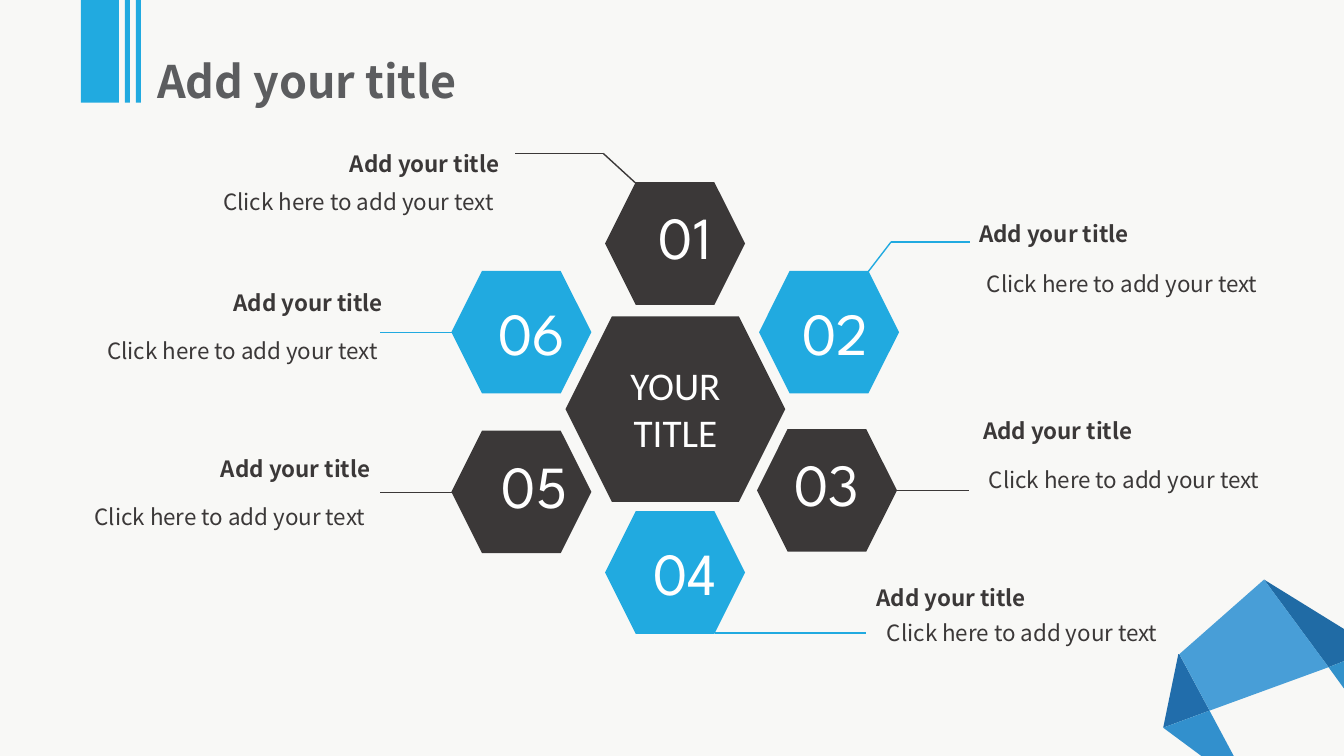
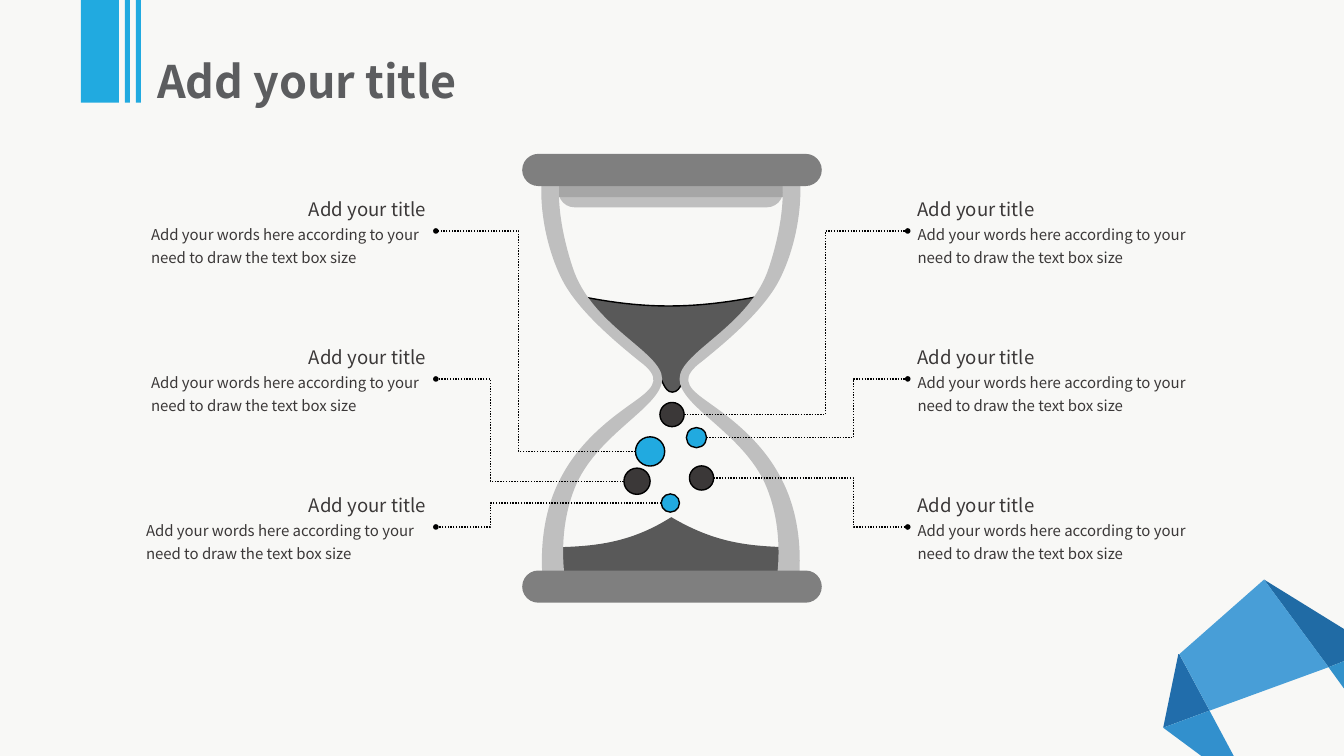
import pptx
import pptx.dml.color
import pptx.enum.dml
import pptx.enum.shapes
import pptx.enum.text
import pptx.oxml
import pptx.oxml.ns
import pptx.util

Pt = pptx.util.Pt
RGBColor = pptx.dml.color.RGBColor
SHAPE = pptx.enum.shapes.MSO_SHAPE
CONNECTOR = pptx.enum.shapes.MSO_CONNECTOR
ALIGN = pptx.enum.text.PP_ALIGN
FIT = pptx.enum.text.MSO_AUTO_SIZE
qn = pptx.oxml.ns.qn
NS = pptx.oxml.ns.nsdecls("a")

PAPER = RGBColor(0xF8, 0xF8, 0xF6)
BLUE = RGBColor(0x21, 0xAA, 0xE0)
DARK = RGBColor(0x3B, 0x38, 0x38)
HEADING = RGBColor(0x5C, 0x5D, 0x5F)
WHITE = RGBColor(0xFF, 0xFF, 0xFF)
BLACK = RGBColor(0x00, 0x00, 0x00)
SAND = RGBColor(0x59, 0x59, 0x59)
CAP = RGBColor(0x7F, 0x7F, 0x7F)
RIM = RGBColor(0xA6, 0xA6, 0xA6)
GLASS = RGBColor(0xBF, 0xBF, 0xBF)

SANS = "Noto Sans CJK SC"
WIDTH, HEIGHT = 960, 540
ADD_TITLE = "Add your title"

RIBBON = [
    (RGBColor(0x21, 0x6D, 0xAB), [(830.9, 519.8), (841.7, 467.3), (842.4, 467.3), (864, 507.6)]),
    (RGBColor(0x20, 0x6B, 0xA5), [(949, 476.6), (902.9, 414), (960, 449.3), (960, 472.3)]),
    (RGBColor(0x32, 0x90, 0xCD), [(881.3, 540), (858.2, 540), (830.9, 519.8), (864, 507.6)]),
    (RGBColor(0x48, 0x9E, 0xD7), [(864, 507.6), (842.4, 467.3), (902.9, 414), (949, 476.6)]),
    (RGBColor(0x32, 0x91, 0xCA), [(960, 491.8), (949, 476.6), (960, 472.3)]),
]

MOUND = [
    [(396.7, 391)],
    [(424.8, 390.2), (450, 388.1), (479.5, 369.4)],
    [(511.2, 388.1), (535, 390.2), (565.2, 391)],
    [(567.4, 400.3), (565.2, 411.1), (565.2, 421.9)],
    [(396.7, 421.9)],
    [(396.7, 411.1), (395.3, 401), (396.7, 391)],
]
FALLING_SAND = [
    [(414.7, 211.7)],
    [(422.6, 221.8), (439.2, 236.2), (447.8, 244.8)],
    [(456.5, 253.4), (462.2, 257), (467.3, 262.8)],
    [(473, 268.6), (473.8, 280.1), (480.2, 280.1)],
    [(487.4, 280.1), (488.2, 267.8), (492.5, 260.6)],
    [(496.8, 253.4), (509.8, 247), (519.1, 237.6)],
    [(528.5, 229), (541.4, 221), (545.8, 211)],
    [(495.4, 221), (461.5, 221), (414.7, 211.7)],
]
LEFT_GLASS = [
    [(387.4, 123.1)],
    [(384.5, 146.9), (390.2, 177.8), (401.8, 200.2)],
    [(413.3, 222.5), (441.4, 245.5), (456.5, 257.8)],
    [(472.3, 269.3), (468, 275.8), (456.5, 284.4)],
    [(445, 293), (416.9, 310.3), (401, 340.6)],
    [(384.5, 370.8), (386.6, 404.6), (388.1, 419)],
    [(396, 418.3), (396.7, 418.3), (404.6, 419)],
    [(404.6, 419.8), (396, 381.6), (411.8, 345.6)],
    [(428.4, 308.9), (473, 290.2), (473, 270.7)],
    [(473, 251.3), (422.6, 233.3), (409, 190.8)],
    [(395.3, 149), (399.6, 123.8), (401, 123.1)],
    [(398.2, 123.1), (391.7, 123.8), (387.4, 123.1)],
]
GLASS_SUM = 958.4
RIGHT_GLASS = [[(GLASS_SUM - x, y) for x, y in segment] for segment in LEFT_GLASS]


class Deck:
    def __init__(self):
        self.prs = pptx.Presentation()
        self.prs.slide_width, self.prs.slide_height = Pt(WIDTH), Pt(HEIGHT)
        fill = self.prs.slide_master.background.fill
        fill.solid()
        fill.fore_color.rgb = PAPER
        self.s = None

    def new_slide(self, title):
        self.s = self.prs.slides.add_slide(self.prs.slide_layouts[6])
        for color, points in RIBBON:
            self.outline([[point] for point in points], color)
        self.text(112.3, 30.7, 285.8, 46.8, [(title, 32, ALIGN.LEFT)], color=HEADING,
                  bold=True, spacing=1.2, inset=(0, 0))
        for x, w in ((57.8, 27.2), (89.2, 3.6), (97.1, 3.6)):
            self.shape(SHAPE.RECTANGLE, x, 0, w, 73.4, BLUE)

    def paint(self, sp, color, line=None):
        sp.shadow.inherit = False
        sp.fill.solid()
        sp.fill.fore_color.rgb = color
        if line is None:
            sp.line.fill.background()
        else:
            sp.line.color.rgb = line
            sp.line.width = Pt(1)

    def shape(self, kind, x, y, w, h, color, line=None, rounding=None):
        sp = self.s.shapes.add_shape(kind, Pt(x), Pt(y), Pt(w), Pt(h))
        if rounding is not None:
            sp.adjustments[0] = rounding
        self.paint(sp, color, line)

    def outline(self, segments, color, line=None):
        points = [(Pt(x), Pt(y)) for segment in segments for x, y in segment]
        builder = self.s.shapes.build_freeform(*points[0], scale=1.0)
        builder.add_line_segments(points[1:], close=True)
        sp = builder.convert_to_shape()
        steps = iter(sp._element.findall(".//" + qn("a:lnTo")))
        for segment in segments[1:]:
            parts = [next(steps) for point in segment]
            if len(parts) == 3:
                curve = pptx.oxml.parse_xml("<a:cubicBezTo %s/>" % NS)
                parts[0].addprevious(curve)
                for part in parts:
                    curve.append(part[0])
                    part.getparent().remove(part)
        self.paint(sp, color, line)

    def text(self, x, y, w, h, paragraphs, color=DARK, font=SANS, bold=False,
             spacing=None, inset=(7.2, 3.6), wrap=True):
        tf = self.s.shapes.add_textbox(Pt(x), Pt(y), Pt(w), Pt(h)).text_frame
        tf.word_wrap = wrap
        tf.auto_size = FIT.SHAPE_TO_FIT_TEXT
        tf.margin_left = tf.margin_right = Pt(inset[0])
        tf.margin_top = tf.margin_bottom = Pt(inset[1])
        for i, (words, size, align) in enumerate(paragraphs):
            p = tf.add_paragraph() if i else tf.paragraphs[0]
            p.alignment = align
            if spacing:
                p.line_spacing = spacing
            r = p.add_run()
            r.text = words
            r.font.name, r.font.size, r.font.bold = font, Pt(size), bold
            r.font.color.rgb = color

    def connector(self, kind, start, end, color):
        c = self.s.shapes.add_connector(kind, *(Pt(v) for v in start + end))
        c.line.color.rgb = color
        c.line.width = Pt(1)
        c._element.spPr.append(pptx.oxml.parse_xml("<a:effectLst %s/>" % NS))
        return c

    def polyline(self, points, color):
        for start, end in zip(points, points[1:]):
            self.connector(CONNECTOR.STRAIGHT, start, end, color)

    def dotted_leader(self, start, end, bend):
        c = self.connector(CONNECTOR.ELBOW, start, end, BLACK)
        c.line.dash_style = pptx.enum.dml.MSO_LINE.ROUND_DOT
        c.line._ln.append(pptx.oxml.parse_xml(
            '<a:tailEnd %s type="oval" w="sm" len="sm"/>' % NS))
        turn = round((bend - start[0]) / (end[0] - start[0]) * 100000)
        guides = c._element.spPr.find(".//" + qn("a:avLst"))
        guides.append(pptx.oxml.parse_xml('<a:gd %s name="adj1" fmla="val %d"/>' % (NS, turn)))


def hexagon_slide(deck):
    deck.new_slide(ADD_TITLE)
    right, left = ALIGN.RIGHT, ALIGN.LEFT
    steps = [
        ("01", DARK, (432.2, 130.2), (449.2, 139.4),
         [(454.3, 131), (430.9, 109.6), (367.9, 109.6)], (238, 103.7), (134.3, 126.7), right),
        ("02", BLUE, (542.2, 193.5), (557, 207.7),
         [(619.9, 194.4), (636.5, 172.8), (693, 172.8)], (687.4, 153.4), (697, 185.8), left),
        ("03", DARK, (540.7, 306.5), (550.8, 315.4),
         [(640.8, 350.2), (691.9, 350.2)], (690.2, 294.2), (698.4, 325.4), left),
        ("04", BLUE, (432.2, 365.2), (449.4, 379.4),
         [(510.8, 452.2), (618.5, 452.2)], (614, 414), (625.7, 434.9), left),
        ("05", DARK, (322.4, 307.6), (342, 316.8),
         [(322.6, 351.6), (271.4, 351.6)], (145.8, 321.6), (42.5, 351.8), right),
        ("06", BLUE, (322.4, 193.5), (340, 207.7),
         [(322.6, 237.6), (271.4, 237.6)], (154.8, 203), (51.5, 233.3), right),
    ]
    for number, color, corner, label, leader, heading, body, align in steps:
        deck.polyline(leader, color)
        deck.shape(SHAPE.HEXAGON, *corner, 100, 87.6, color)
        deck.text(*label, 80, 59, [(number, 42.6, ALIGN.CENTER)], WHITE, "League Spartan")
        deck.text(*heading, 126.7, 26.6, [(ADD_TITLE, 16, right)], bold=True,
                  inset=(7.9, 3.6), wrap=False)
        words = "Click here to add your text" + (" " if align == right else "")
        deck.text(*body, 230, 31, [(words, 16, align)], spacing=1.2, inset=(7.9, 3.6))
    deck.shape(SHAPE.HEXAGON, 403.9, 226, 157, 132.5, DARK)
    deck.text(425.5, 254.6, 113.8, 74.9,
              [(word, 28, ALIGN.CENTER) for word in ("YOUR", "TITLE")], WHITE, "Calibri")


def hourglass_slide(deck):
    deck.new_slide(ADD_TITLE)
    deck.outline(MOUND, SAND)
    deck.outline(FALLING_SAND, SAND, BLACK)
    deck.shape(SHAPE.ROUNDED_RECTANGLE, 398.9, 125.1, 160.4, 23, GLASS, rounding=0.5)
    deck.shape(SHAPE.ROUNDED_RECTANGLE, 396, 117.8, 168.5, 23, RIM, rounding=0)
    deck.outline(LEFT_GLASS, GLASS)
    deck.outline(RIGHT_GLASS, GLASS)
    for y in (109.9, 407.5):
        deck.shape(SHAPE.ROUNDED_RECTANGLE, 373, y, 214, 23, CAP, rounding=0.5)

    first_row, row_gap, half_row = 133, 105.7, 32
    left_end, right_start = 311.4, 648.4
    body = "Add your words here according to your need to draw the text box size"
    for row, x in enumerate((100.8, 100.8, 97.2)):
        y = first_row + row * row_gap
        for start, w, align in ((x, left_end - x, ALIGN.RIGHT),
                                (right_start, 208.8, ALIGN.LEFT)):
            deck.text(start, y, w, 62, [(ADD_TITLE, 13.3, align), (body, 10.7, ALIGN.LEFT)],
                      spacing=1.3)

    grains = [
        (471.4, 287.5, 17.3, DARK, True, 0, 589.7),
        (490.3, 305.4, 14.4, BLUE, True, 1, 609.8),
        (492.5, 332.8, 17.3, DARK, True, 2, 609.8),
        (453.9, 312, 20.9, BLUE, False, 0, 370.3),
        (445.7, 334.4, 18.7, DARK, False, 1, 350.4),
        (472.3, 352.8, 13, BLUE, False, 2, 350.4),
    ]
    for x, y, size, color, on_right, row, bend in grains:
        deck.shape(SHAPE.OVAL, x, y, size, size, color, BLACK)
        start = (x + size if on_right else x, y + size / 2)
        end = (right_start if on_right else left_end, first_row + row * row_gap + half_row)
        deck.dotted_leader(start, end, bend)


def main():
    deck = Deck()
    hexagon_slide(deck)
    hourglass_slide(deck)
    deck.prs.save("out.pptx")


if __name__ == "__main__":
    main()
